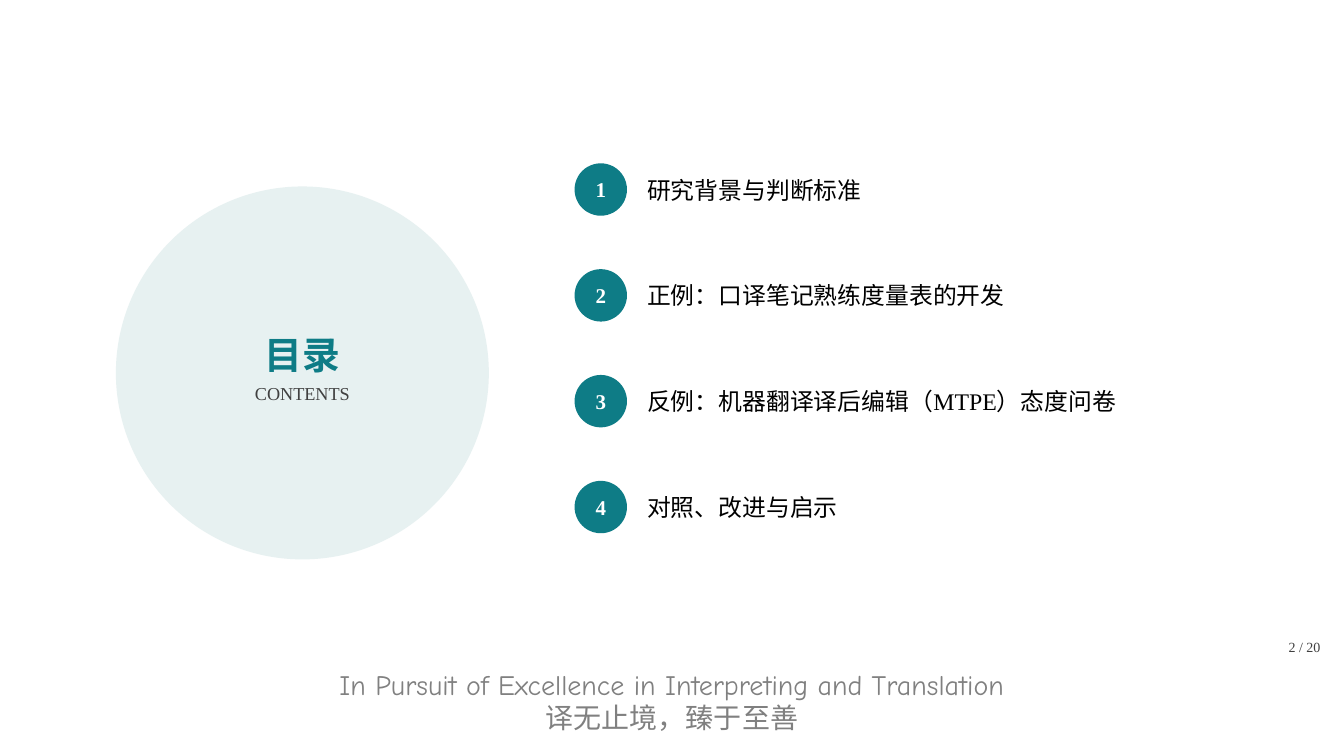
from dataclasses import dataclass

from lxml.etree import SubElement
from pptx import Presentation
from pptx.dml.color import RGBColor
from pptx.enum.shapes import MSO_SHAPE as Preset
from pptx.enum.text import MSO_ANCHOR as Anchor, PP_ALIGN as Align
from pptx.oxml.ns import qn
from pptx.shapes.autoshape import Shape
from pptx.slide import Slide
from pptx.util import Pt


@dataclass(frozen=True)
class Theme:
    teal: str = "0E7C86"
    pale: str = "E7F1F1"
    dark: str = "404040"
    grey: str = "808080"
    black: str = "000000"
    white: str = "FFFFFF"
    serif: str = "Times New Roman"
    motto: str = "Comic Neue"
    chinese: str = "Noto Sans CJK SC"
    title_size: float = 27
    motto_size: float = 20
    entry_size: float = 17
    number_size: float = 15
    subtitle_size: float = 13
    page_size: float = 10


THEME = Theme()


@dataclass(frozen=True)
class Box:
    left: float
    top: float
    width: float
    height: float

    def lengths(self) -> list[Pt]:
        return [Pt(v) for v in (self.left, self.top, self.width, self.height)]


@dataclass(frozen=True)
class Line:
    text: str
    size: float
    color: str
    align: Align = Align.LEFT
    font: str = THEME.serif
    bold: bool = False
    before: float = 0
    spacing: float = 1.0


def write(shape: Shape, lines: list[Line], anchor: Anchor = Anchor.MIDDLE,
          wrap: bool = True, margins: tuple[float, float] = (0, 0)) -> None:
    frame = shape.text_frame
    frame.word_wrap = wrap
    frame.vertical_anchor = anchor
    frame.margin_left = frame.margin_right = Pt(margins[0])
    frame.margin_top = frame.margin_bottom = Pt(margins[1])
    for index, line in enumerate(lines):
        paragraph = frame.add_paragraph() if index else frame.paragraphs[0]
        paragraph.add_run().text = line.text
        paragraph.alignment = line.align
        if line.before:
            paragraph.space_before = Pt(line.before)
        if line.spacing != 1:
            paragraph.line_spacing = line.spacing
        font = paragraph.font
        font.name, font.size, font.bold = line.font, Pt(line.size), line.bold
        font.color.rgb = RGBColor.from_string(line.color)
        # East Asian typeface
        defaults = paragraph._p.pPr.find(qn("a:defRPr"))
        SubElement(defaults, qn("a:ea")).set("typeface", THEME.chinese)


def add_circle(slide: Slide, box: Box, color: str) -> Shape:
    circle = slide.shapes.add_shape(Preset.OVAL, *box.lengths())
    circle.shadow.inherit = False
    circle.fill.solid()
    circle.fill.fore_color.rgb = RGBColor.from_string(color)
    circle.line.fill.background()
    return circle


def add_text(slide: Slide, box: Box, lines: list[Line],
             anchor: Anchor = Anchor.MIDDLE,
             margins: tuple[float, float] = (0, 0)) -> None:
    write(slide.shapes.add_textbox(*box.lengths()), lines, anchor, margins=margins)


ENTRIES = [
    "研究背景与判断标准",
    "正例：口译笔记熟练度量表的开发",
    "反例：机器翻译译后编辑（MTPE）态度问卷",
    "对照、改进与启示",
]
FIRST_TOP, PITCH, BADGE = 116.64, 75.6, 37.44


def main() -> None:
    deck = Presentation()
    deck.slide_width, deck.slide_height = Pt(960), Pt(540)
    slide = deck.slides.add_slide(deck.slide_layouts[6])

    # Motto along the bottom
    add_text(slide, Box(0, 473.04, 960, 55.44), [
        Line("In Pursuit of Excellence in Interpreting and Translation",
             THEME.motto_size, THEME.grey, Align.CENTER, THEME.motto),
        Line("译无止境，臻于至善",
             THEME.motto_size, THEME.grey, Align.CENTER, THEME.chinese),
    ], Anchor.TOP, (7.2, 3.6))

    # Heading on its disc
    add_circle(slide, Box(82.8, 133.2, 266.4, 266.4), THEME.pale)
    add_text(slide, Box(82.8, 205.2, 266.4, 115.2), [
        Line("目录", THEME.title_size, THEME.teal, Align.CENTER, bold=True),
        Line("CONTENTS", THEME.subtitle_size, THEME.dark, Align.CENTER, before=4),
    ])

    # Numbered entries
    for index, entry in enumerate(ENTRIES):
        top = FIRST_TOP + index * PITCH
        badge = add_circle(slide, Box(410.4, top, BADGE, BADGE), THEME.teal)
        write(badge, [Line(str(index + 1), THEME.number_size, THEME.white,
                           Align.CENTER, bold=True)], wrap=False)
        add_text(slide, Box(462.24, top, 453.6, BADGE),
                 [Line(entry, THEME.entry_size, THEME.black)])

    # Page number
    add_text(slide, Box(813.6, 452.16, 129.6, 15.84),
             [Line("2 / 20", THEME.page_size, THEME.dark, Align.RIGHT, spacing=1.3)],
             Anchor.TOP)

    deck.save("out.pptx")


if __name__ == "__main__":
    main()
